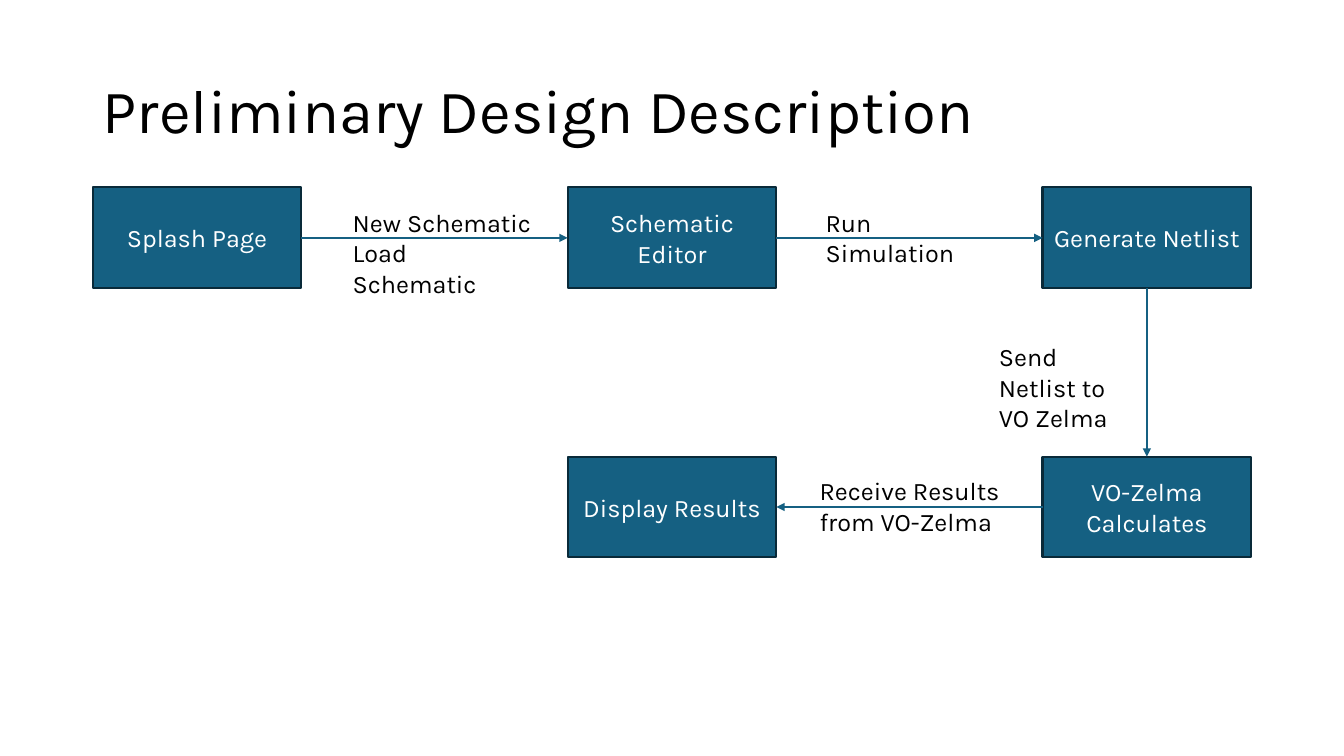
import pptx
import pptx.util
import pptx.dml.color
import pptx.enum.shapes
import pptx.enum.text
import pptx.oxml
import pptx.oxml.ns

Inches = pptx.util.Inches
Pt = pptx.util.Pt

TITLE = "Preliminary Design Description"
FONT = "Karla"
COLORS = {"box": "156082", "border": "092A39", "light": "FFFFFF", "dark": "000000"}

STEPS = {
    "Splash Page": (0, 0),
    "Schematic Editor": (1, 0),
    "Generate Netlist": (2, 0),
    "VO-Zelma Calculates": (2, 1),
    "Display Results": (1, 1),
}
TOP, LEFT, BOTTOM, RIGHT = range(4)
ARROWS = [
    ("Splash Page", RIGHT, "Schematic Editor", LEFT),
    ("Schematic Editor", RIGHT, "Generate Netlist", LEFT),
    ("Generate Netlist", BOTTOM, "VO-Zelma Calculates", TOP),
    ("VO-Zelma Calculates", LEFT, "Display Results", RIGHT),
]
LABELS = [
    (["New Schematic", "Load Schematic"], 3.4, 2.01, 1.99, 0.71),
    (["Run Simulation"], 8.09, 2.01, 1.86, 0.71),
    (["Send Netlist to VO Zelma"], 9.81, 3.34, 1.56, 0.71),
    (["Receive Results from VO-Zelma"], 8.03, 4.67, 1.99, 0.71),
]

GRID_LEFT, GRID_TOP = 0.92, 1.86
COLUMN_STEP, ROW_STEP = 4.71, 2.67
BOX_WIDTH, BOX_HEIGHT = 2.07, 1


def color(name):
    return pptx.dml.color.RGBColor.from_string(COLORS[name])


def write(paragraph, text, size, color_name, alignment):
    paragraph.alignment = alignment
    run = paragraph.add_run()
    run.text = text
    run.font.name = FONT
    run.font.size = Pt(size)
    run.font.color.rgb = color(color_name)


def add_title(slide):
    title = slide.shapes.title
    title.left, title.top = Inches(0.92), Inches(0.4)
    title.width, title.height = Inches(11.5), Inches(1.45)
    frame = title.text_frame
    frame.auto_size = pptx.enum.text.MSO_AUTO_SIZE.NONE
    frame.vertical_anchor = pptx.enum.text.MSO_ANCHOR.MIDDLE
    paragraph = frame.paragraphs[0]
    paragraph.line_spacing = 0.9
    write(paragraph, TITLE, 44, "dark", pptx.enum.text.PP_ALIGN.LEFT)


def add_step(slide, text, column, row):
    shape = slide.shapes.add_shape(
        pptx.enum.shapes.MSO_SHAPE.RECTANGLE,
        Inches(GRID_LEFT + column * COLUMN_STEP),
        Inches(GRID_TOP + row * ROW_STEP),
        Inches(BOX_WIDTH),
        Inches(BOX_HEIGHT),
    )
    shape.shadow.inherit = False
    shape.fill.solid()
    shape.fill.fore_color.rgb = color("box")
    shape.line.color.rgb = color("border")
    shape.line.width = Pt(1.5)
    frame = shape.text_frame
    frame.word_wrap = True
    frame.vertical_anchor = pptx.enum.text.MSO_ANCHOR.MIDDLE
    write(frame.paragraphs[0], text, 18, "light", pptx.enum.text.PP_ALIGN.CENTER)
    return shape


def add_arrow(slide, source, source_side, target, target_side):
    connector = slide.shapes.add_connector(
        pptx.enum.shapes.MSO_CONNECTOR.STRAIGHT, 0, 0, 0, 0
    )
    connector.begin_connect(source, source_side)
    connector.end_connect(target, target_side)
    connector.line.color.rgb = color("box")
    connector.line.width = Pt(1.5)
    line = connector.line._get_or_add_ln()
    tail = pptx.oxml.parse_xml(
        f'<a:tailEnd {pptx.oxml.ns.nsdecls("a")} type="triangle"/>'
    )
    line.append(tail)
    effects = pptx.oxml.parse_xml(f'<a:effectLst {pptx.oxml.ns.nsdecls("a")}/>')
    line.addnext(effects)


def add_label(slide, lines, left, top, width, height):
    box = slide.shapes.add_textbox(
        Inches(left), Inches(top), Inches(width), Inches(height)
    )
    frame = box.text_frame
    frame.word_wrap = True
    frame.auto_size = pptx.enum.text.MSO_AUTO_SIZE.SHAPE_TO_FIT_TEXT
    for index, text in enumerate(lines):
        paragraph = frame.add_paragraph() if index else frame.paragraphs[0]
        write(paragraph, text, 18, "dark", pptx.enum.text.PP_ALIGN.LEFT)


def main():
    presentation = pptx.Presentation()
    presentation.slide_width = Inches(13.33)
    presentation.slide_height = Inches(7.5)
    slide = presentation.slides.add_slide(presentation.slide_layouts[5])
    add_title(slide)
    boxes = {text: add_step(slide, text, *cell) for text, cell in STEPS.items()}
    for source, source_side, target, target_side in ARROWS:
        add_arrow(slide, boxes[source], source_side, boxes[target], target_side)
    for label in LABELS:
        add_label(slide, *label)
    presentation.save("out.pptx")


if __name__ == "__main__":
    main()
